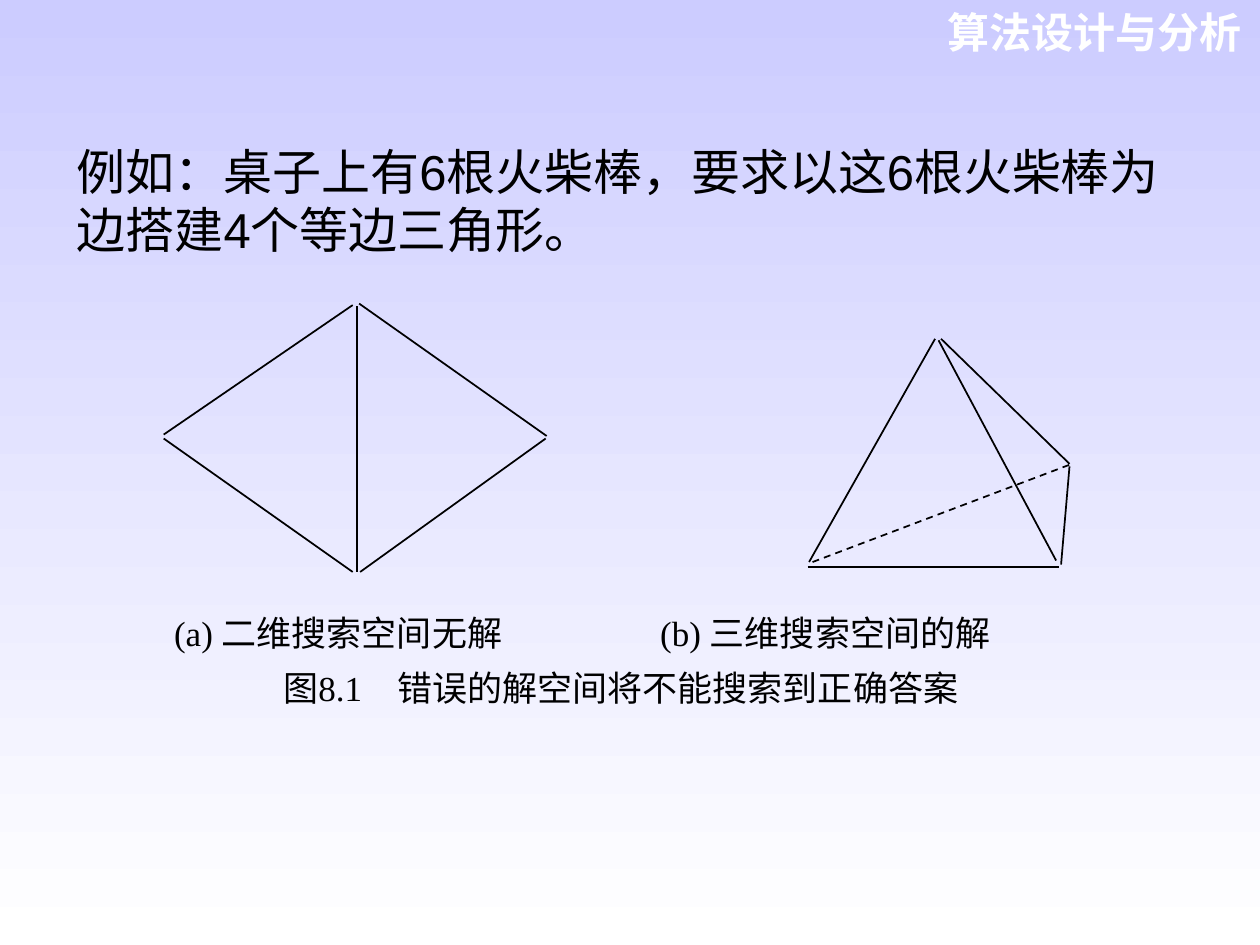
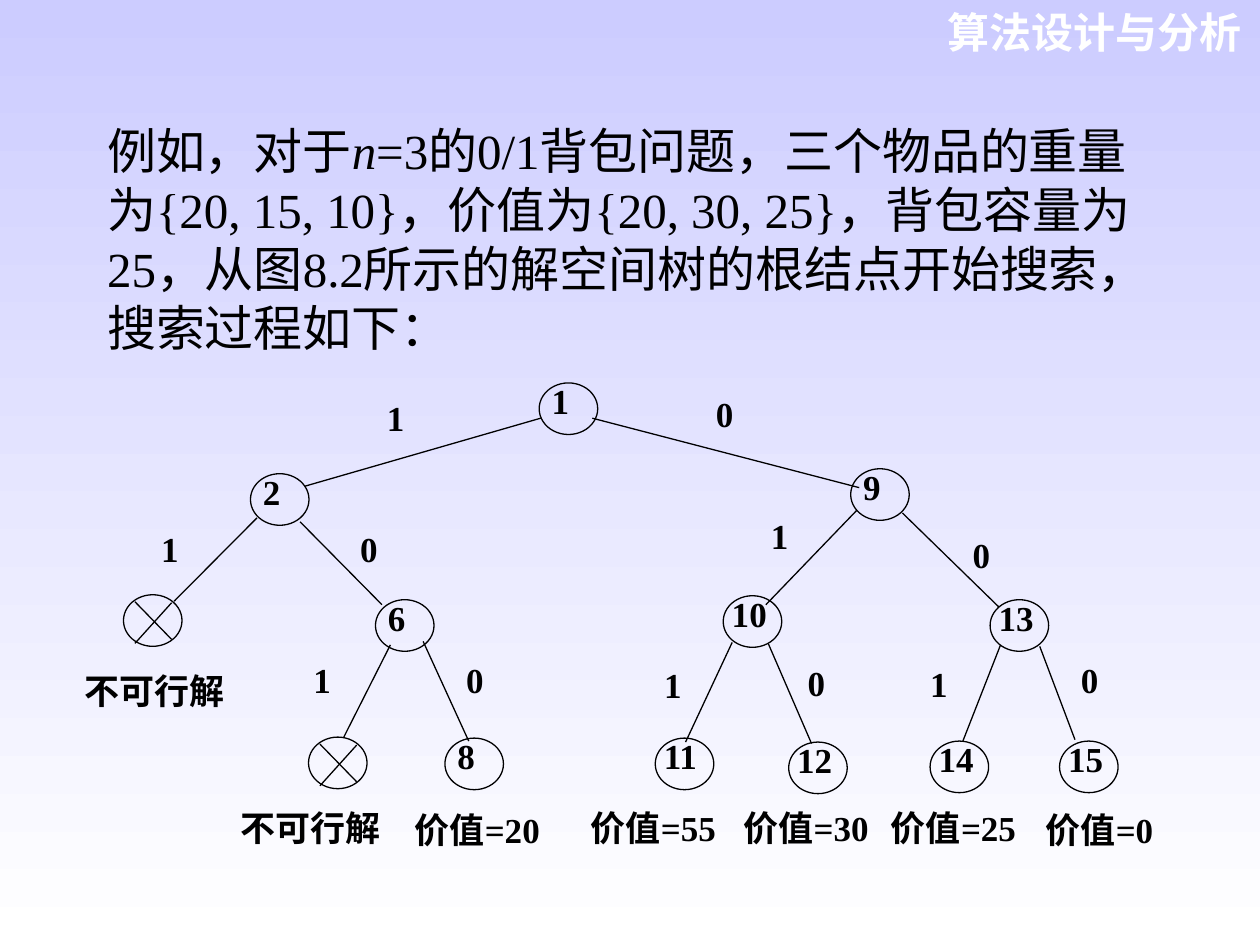
from dataclasses import dataclass

from lxml.etree import SubElement
from pptx import Presentation
from pptx.dml.color import RGBColor
from pptx.enum.dml import MSO_LINE
from pptx.enum.shapes import MSO_CONNECTOR, MSO_SHAPE
from pptx.enum.text import PP_ALIGN
from pptx.oxml.ns import qn
from pptx.util import Cm, Pt

# Content: every position and size is in centimetres.
COURSE = "算法设计与分析"
COURSE_BOX = (18.39, 0, 6.88, 1.27)

MATCHES_TEXT = "例如：桌子上有6根火柴棒，要求以这6根火柴棒为边搭建4个等边三角形。"
MATCHES_BOX = (1.3, 2.72, 22.4, 2.64)
RHOMBUS = [
    ((7.19, 6.17), (7.19, 11.53)),
    ((7.24, 6.12), (11.02, 8.79)),
    ((7.26, 11.53), (11, 8.84)),
    ((3.3, 8.76), (7.11, 6.15)),
    ((3.3, 8.84), (7.11, 11.53)),
]
TETRAHEDRON = [
    ((16.28, 11.43), (21.34, 11.43)),
    ((16.31, 11.33), (18.85, 6.83)),
    ((21.29, 11.3), (18.92, 6.86)),
    ((18.97, 6.83), (21.56, 9.35)),
    ((21.39, 11.38), (21.56, 9.4)),
]
HIDDEN_EDGE = ((16.38, 11.33), (21.56, 9.37))
CAPTIONS = [  # text, tab stops
    ("(a) 二维搜索空间无解\t(b) 三维搜索空间的解", (9.8,)),
    ("\t图8.1\t错误的解空间将不能搜索到正确答案", (2.2, 4.5)),
]
CAPTION_BOX = (3.51, 12.32, 19.2, 3.81)

KNAPSACK_TEXT = [  # text, italic
    ("例如，对于", False),
    ("n", True),
    ("=3的0/1背包问题，三个物品的重量为{20, 15, 10}，价值为{20, 30, 25}，"
     "背包容量为25，从图8.2所示的解空间树的根结点开始搜索，搜索过程如下：", False),
]
KNAPSACK_BOX = (1.91, 2.31, 21.79, 5)
BRANCHES = [  # choice, its label's corner, parent end, child end
    ("1", (7.8, 8.15), (10.9, 8.43), (6.15, 9.8)),
    ("0", (14.43, 8.08), (11.94, 8.43), (17.32, 9.83)),
    ("1", (3.25, 10.8), (5.18, 10.44), (3.51, 12.12)),
    ("0", (7.26, 10.8), (6.05, 10.52), (7.7, 12.19)),
    ("1", (15.54, 10.54), (17.27, 10.29), (15.44, 12.19)),
    ("0", (19.61, 10.92), (18.19, 10.34), (20.14, 12.24)),
    ("1", (6.32, 13.44), (7.87, 13), (6.93, 14.86)),
    ("0", (9.4, 13.44), (8.53, 12.93), (9.45, 14.94)),
    ("1", (13.39, 13.54), (14.76, 12.95), (13.82, 14.96)),
    ("0", (16.28, 13.49), (15.49, 12.98), (16.36, 14.99)),
    ("1", (18.75, 13.51), (20.17, 13), (19.41, 14.94)),
    ("0", (21.79, 13.44), (20.96, 13.03), (21.67, 14.91)),
]
NODES = {
    "1": (10.87, 7.72),
    "2": (5.05, 9.55), "9": (17.15, 9.45),
    "6": (7.57, 12.09), "10": (14.58, 12.01), "13": (19.96, 12.09),
    "8": (8.97, 14.88), "11": (13.21, 14.88), "12": (15.9, 14.96),
    "14": (18.75, 14.94), "15": (21.36, 14.94),
}
DEAD_ENDS = [(2.49, 11.99), (6.22, 14.86)]
CROSS = [((0.23, 0.14), (0.97, 0.9)), ((0.97, 0.16), (0.23, 0.98))]
NODE_SIZE = (1.18, 1.04)
CHOICE_SIZE = (0.79, 0.74)
OUTCOME_SIZE = (3.33, 0.94)
OUTCOMES = [
    ("不可行解", (1.7, 13.67)),
    ("不可行解", (4.85, 16.43)),
    ("价值=20", (8.36, 16.46)),
    ("价值=55", (11.91, 16.43)),
    ("价值=30", (14.99, 16.43)),
    ("价值=25", (17.96, 16.43)),
    ("价值=0", (21.08, 16.46)),
]


@dataclass(frozen=True)
class Theme:
    sky: RGBColor = RGBColor(0xCC, 0xCC, 0xFF)
    white: RGBColor = RGBColor(0xFF, 0xFF, 0xFF)
    ink: RGBColor = RGBColor(0, 0, 0)
    sans: str = "Arial"
    serif: str = "Times New Roman"
    course: Pt = Pt(24)
    body: Pt = Pt(28)
    label: Pt = Pt(20)
    match_line: Pt = Pt(1)
    tree_line: Pt = Pt(0.75)


THEME = Theme()


def style(paragraph, face, size, color=THEME.ink, bold=False):
    font = paragraph.font
    font.name, font.size, font.bold = face, size, bold
    font.color.rgb = color


def add_frame(slide, box, inset=True):
    frame = slide.shapes.add_textbox(*map(Cm, box)).text_frame
    frame.word_wrap = True
    if not inset:
        clear_margins(frame)
    return frame


def clear_margins(frame):
    frame.margin_left = frame.margin_top = 0
    frame.margin_right = frame.margin_bottom = 0


def add_label(slide, text, corner, size):
    paragraph = add_frame(slide, corner + size, inset=False).paragraphs[0]
    paragraph.text = text
    paragraph.line_spacing = 0.8
    style(paragraph, THEME.serif, THEME.label, bold=True)


def add_line(slide, start, end, width, dashed=False):
    line = slide.shapes.add_connector(MSO_CONNECTOR.STRAIGHT, *map(Cm, start + end))
    line.line.color.rgb = THEME.ink
    line.line.width = width
    if dashed:
        line.line.dash_style = MSO_LINE.DASH
    SubElement(line._element.spPr, qn("a:effectLst"))


def add_node(slide, corner, number=""):
    node = slide.shapes.add_shape(MSO_SHAPE.OVAL, *map(Cm, corner + NODE_SIZE))
    node.shadow.inherit = False
    node.fill.background()
    node.line.color.rgb = THEME.ink
    node.line.width = THEME.tree_line
    if number:
        frame = node.text_frame
        clear_margins(frame)
        frame.margin_left = Cm(0.08 if len(number) == 1 else 0)
        frame.vertical_anchor = 1  # top
        paragraph = frame.paragraphs[0]
        paragraph.text = number
        paragraph.alignment = PP_ALIGN.LEFT
        paragraph.line_spacing = 0.72
        style(paragraph, THEME.serif, THEME.label, bold=True)


def add_dead_end(slide, corner):
    add_node(slide, corner)
    for ends in CROSS:
        start, end = [(corner[0] + x, corner[1] + y) for x, y in ends]
        add_line(slide, start, end, THEME.tree_line)


def set_tabs(paragraph, stops):
    tabs = SubElement(paragraph._p.get_or_add_pPr(), qn("a:tabLst"))
    for stop in stops:
        SubElement(tabs, qn("a:tab"), pos=str(Cm(stop)), algn="l")


def set_background(deck):
    fill = deck.slide_master.background.fill
    fill.gradient()
    fill.gradient_angle = 270
    for stop, color in zip(fill.gradient_stops, (THEME.sky, THEME.white)):
        stop.color.rgb = color


def add_course_slide(deck):
    slide = deck.slides.add_slide(deck.slide_layouts[6])
    course = add_frame(slide, COURSE_BOX).paragraphs[0]
    course.text = COURSE
    course.alignment = PP_ALIGN.RIGHT
    style(course, THEME.sans, THEME.course, THEME.white, bold=True)
    return slide


def build_matches(slide):
    for start, end in RHOMBUS + TETRAHEDRON:
        add_line(slide, start, end, THEME.match_line)
    add_line(slide, *HIDDEN_EDGE, THEME.match_line, dashed=True)

    captions = add_frame(slide, CAPTION_BOX, inset=False)
    for index, (text, stops) in enumerate(CAPTIONS):
        caption = captions.add_paragraph() if index else captions.paragraphs[0]
        caption.text = text
        set_tabs(caption, stops)
        if index:
            caption.space_before = Pt(7.7)
        style(caption, THEME.serif, THEME.label)

    problem = add_frame(slide, MATCHES_BOX).paragraphs[0]
    problem.text = MATCHES_TEXT
    style(problem, THEME.sans, THEME.body)


def build_knapsack(slide):
    problem = add_frame(slide, KNAPSACK_BOX).paragraphs[0]
    style(problem, THEME.serif, THEME.body)
    for text, italic in KNAPSACK_TEXT:
        run = problem.add_run()
        run.text = text
        run.font.italic = italic

    for choice, corner, start, end in BRANCHES:
        add_line(slide, start, end, THEME.tree_line)
        add_label(slide, choice, corner, CHOICE_SIZE)
    for number, corner in NODES.items():
        add_node(slide, corner, number)
    for corner in DEAD_ENDS:
        add_dead_end(slide, corner)
    for outcome, corner in OUTCOMES:
        add_label(slide, outcome, corner, OUTCOME_SIZE)


def main():
    deck = Presentation()
    deck.slide_width, deck.slide_height = Cm(25.4), Cm(19.05)
    set_background(deck)
    for build in (build_matches, build_knapsack):
        build(add_course_slide(deck))
    deck.save("out.pptx")


if __name__ == "__main__":
    main()
